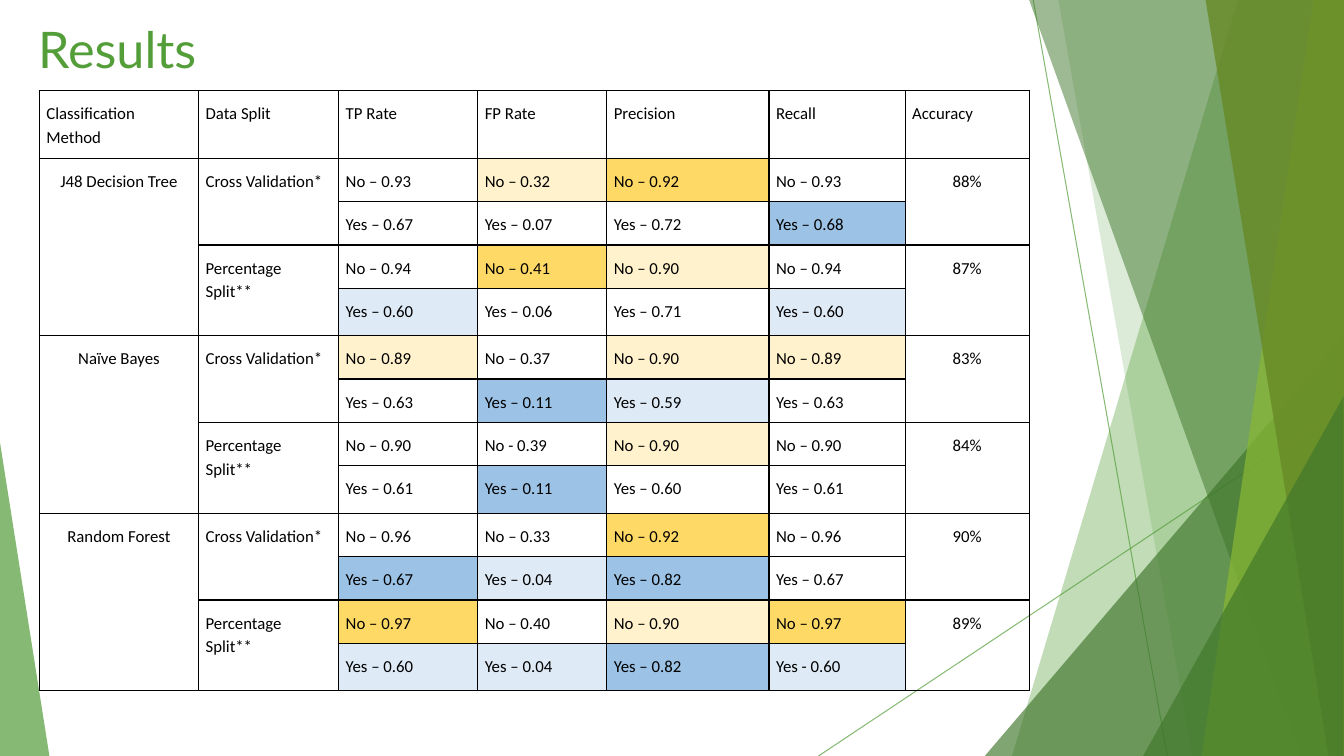
import lxml.etree
import pptx
import pptx.dml.color
import pptx.enum.shapes
import pptx.enum.text
import pptx.oxml.ns
import pptx.util

# Slide grid: each column and row is a tenth of an inch
COLS, ROWS = 133.33, 75
COLORS = {
    "green": "549E39", "dark": "3F762A", "lime": "8AB833", "olive": "678A26",
    "black": "000000",
    "Y": "FFD966", "y": "FFF2CC", "B": "9CC2E5", "b": "DEEAF6",
}

# Table content
HEADERS = ["Classification Method", "Data Split", "TP Rate", "FP Rate",
           "Precision", "Recall", "Accuracy"]
METHODS = ["J48 Decision Tree", "Naïve Bayes", "Random Forest"]
SPLITS = ["Cross Validation*", "Percentage Split**"]
ACCURACY = ["88%", "87%", "83%", "84%", "90%", "89%"]
# Four rates per row, then one highlight key per rate ("-" is none)
RATES = [
    ("No – 0.93", "No – 0.32", "No – 0.92", "No – 0.93", "-yY-"),
    ("Yes – 0.67", "Yes – 0.07", "Yes – 0.72", "Yes – 0.68", "---B"),
    ("No – 0.94", "No – 0.41", "No – 0.90", "No – 0.94", "-Yy-"),
    ("Yes – 0.60", "Yes – 0.06", "Yes – 0.71", "Yes – 0.60", "b--b"),
    ("No – 0.89", "No – 0.37", "No – 0.90", "No – 0.89", "y-yy"),
    ("Yes – 0.63", "Yes – 0.11", "Yes – 0.59", "Yes – 0.63", "-Bb-"),
    ("No – 0.90", "No - 0.39", "No – 0.90", "No – 0.90", "--y-"),
    ("Yes – 0.61", "Yes – 0.11", "Yes – 0.60", "Yes – 0.61", "-B--"),
    ("No – 0.96", "No – 0.33", "No – 0.92", "No – 0.96", "--Y-"),
    ("Yes – 0.67", "Yes – 0.04", "Yes – 0.82", "Yes – 0.67", "BbB-"),
    ("No – 0.97", "No – 0.40", "No – 0.90", "No – 0.97", "Y-yY"),
    ("Yes – 0.60", "Yes – 0.04", "Yes – 0.82", "Yes - 0.60", "bbBb"),
]
COL_WIDTHS = [15.8, 13.9, 13.8, 12.8, 16.1, 13.5, 12.3]
ROW_HEIGHTS = [6.7] + [4.3, 4.3, 4.3, 4.7] * len(METHODS)


def grid(*units):
    return [pptx.util.Emu(round(pptx.util.Inches(0.1) * u)) for u in units]


def rgb(name):
    return pptx.dml.color.RGBColor.from_string(COLORS[name])


def sub(parent, tag, **attrs):
    return lxml.etree.SubElement(parent, pptx.oxml.ns.qn(tag), **attrs)


def set_opacity(shape, percent):
    for color in shape._element.spPr.iter(pptx.oxml.ns.qn("a:srgbClr")):
        sub(color, "a:alpha", val=str(percent * 1000))


def paint(shape, color, opacity):
    shape.shadow.inherit = False
    shape.fill.solid()
    shape.fill.fore_color.rgb = rgb(color)
    shape.line.fill.background()
    set_opacity(shape, opacity)


def add_ray(s, x1, y1, x2, y2):
    line = s.shapes.add_connector(
        pptx.enum.shapes.MSO_CONNECTOR.STRAIGHT, *grid(x1, y1, x2, y2))
    line.line.color.rgb = rgb("green")
    line.line.width = pptx.util.Pt(0.75)
    set_opacity(line, 70)
    sub(line._element.spPr, "a:effectLst")


def add_facet(s, top_x, bottom_x, color, opacity):
    """Band from a slanted left edge to the right edge of the slide."""
    corners = [(top_x, 0), (COLS, 0), (COLS, ROWS), (bottom_x, ROWS)]
    points = [grid(*corner) for corner in corners]
    builder = s.shapes.build_freeform(*points[0])
    builder.add_line_segments(points[1:], close=True)
    paint(builder.convert_to_shape(), color, opacity)


def add_triangle(s, left, top, width, apex, color, opacity):
    """Triangle standing on the bottom edge of the slide."""
    sp = s.shapes.add_shape(
        pptx.enum.shapes.MSO_SHAPE.ISOSCELES_TRIANGLE,
        *grid(left, top, width, ROWS - top))
    sp.adjustments[0] = apex
    paint(sp, color, opacity)


def add_run(p, text, size, font, color):
    r = p.add_run()
    r.text = text
    r.font.size = pptx.util.Pt(size)
    r.font.name = font
    r.font.color.rgb = rgb(color)


def add_title(s, text):
    tf = s.shapes.add_textbox(*grid(2.8, 1.3, 94, 14.4)).text_frame
    tf.word_wrap = True
    add_run(tf.paragraphs[0], text, 36, "Lato", "green")


def style_cell(cell, mark):
    cell.margin_left, cell.margin_right = grid(0.7, 0.7)
    cell.margin_top, cell.margin_bottom = grid(1, 1)
    tcPr = cell._tc.get_or_add_tcPr()
    for side in ("a:lnL", "a:lnR", "a:lnT", "a:lnB"):
        border = sub(tcPr, side, w=str(pptx.util.Pt(1)))
        sub(sub(border, "a:solidFill"), "a:srgbClr", val=COLORS["black"])
    if mark == "-":
        cell.fill.background()
    else:
        cell.fill.solid()
        cell.fill.fore_color.rgb = rgb(mark)


def write_cell(cell, text, centered=False):
    p = cell.text_frame.paragraphs[0]
    p.line_spacing = 1.15
    if centered:
        p.alignment = pptx.enum.text.PP_ALIGN.CENTER
    add_run(p, text, 12, "Calibri", "black")


def write_span(table, row, col, count, text, centered):
    cell = table.cell(row, col)
    cell.merge(table.cell(row + count - 1, col))
    write_cell(cell, text, centered)


def add_results(s):
    frame = s.shapes.add_table(
        len(ROW_HEIGHTS), len(COL_WIDTHS),
        *grid(3.9, 9, sum(COL_WIDTHS), sum(ROW_HEIGHTS)))
    table = frame.table
    table.first_row = table.horz_banding = False
    for column, width in zip(table.columns, grid(*COL_WIDTHS)):
        column.width = width
    for row, height in zip(table.rows, grid(*ROW_HEIGHTS)):
        row.height = height

    # Borders and highlights
    marks = ["-" * len(HEADERS)] + [f"--{rates[-1]}-" for rates in RATES]
    for i, row_marks in enumerate(marks):
        for j, mark in enumerate(row_marks):
            style_cell(table.cell(i, j), mark)

    # Headers and rates
    for j, header in enumerate(HEADERS):
        write_cell(table.cell(0, j), header)
    for i, rates in enumerate(RATES, start=1):
        for j, rate in enumerate(rates[:-1], start=2):
            write_cell(table.cell(i, j), rate)

    # Row-spanning cells
    for i, method in enumerate(METHODS):
        write_span(table, 1 + 4 * i, 0, 4, method, True)
    for i, accuracy in enumerate(ACCURACY):
        write_span(table, 1 + 2 * i, 1, 2, SPLITS[i % 2], False)
        write_span(table, 1 + 2 * i, 6, 2, accuracy, True)


def main():
    prs = pptx.Presentation()
    prs.slide_width, prs.slide_height = grid(COLS, ROWS)
    s = prs.slides.add_slide(prs.slide_layouts[6])

    # Faceted backdrop, from back to front
    add_ray(s, 102.5, 0, 115.8, ROWS)
    add_ray(s, COLS, 40.3, 81.2, ROWS)
    add_facet(s, 122.8, 100.4, "green", 36)
    add_facet(s, 105, 118.3, "green", 20)
    add_triangle(s, 97.7, 33.3, 35.6, 1, "dark", 66)
    add_facet(s, 102.1, 129.1, "dark", 50)
    add_facet(s, 130.3, 119.2, "lime", 70)
    add_facet(s, 119.6, 131.8, "olive", 80)
    add_triangle(s, 113.4, 39.3, 19.9, 1, "dark", 66)
    add_triangle(s, 0, 43.9, 4.9, 0, "green", 70)

    # Content
    add_title(s, "Results")
    add_results(s)
    prs.save("out.pptx")


if __name__ == "__main__":
    main()
